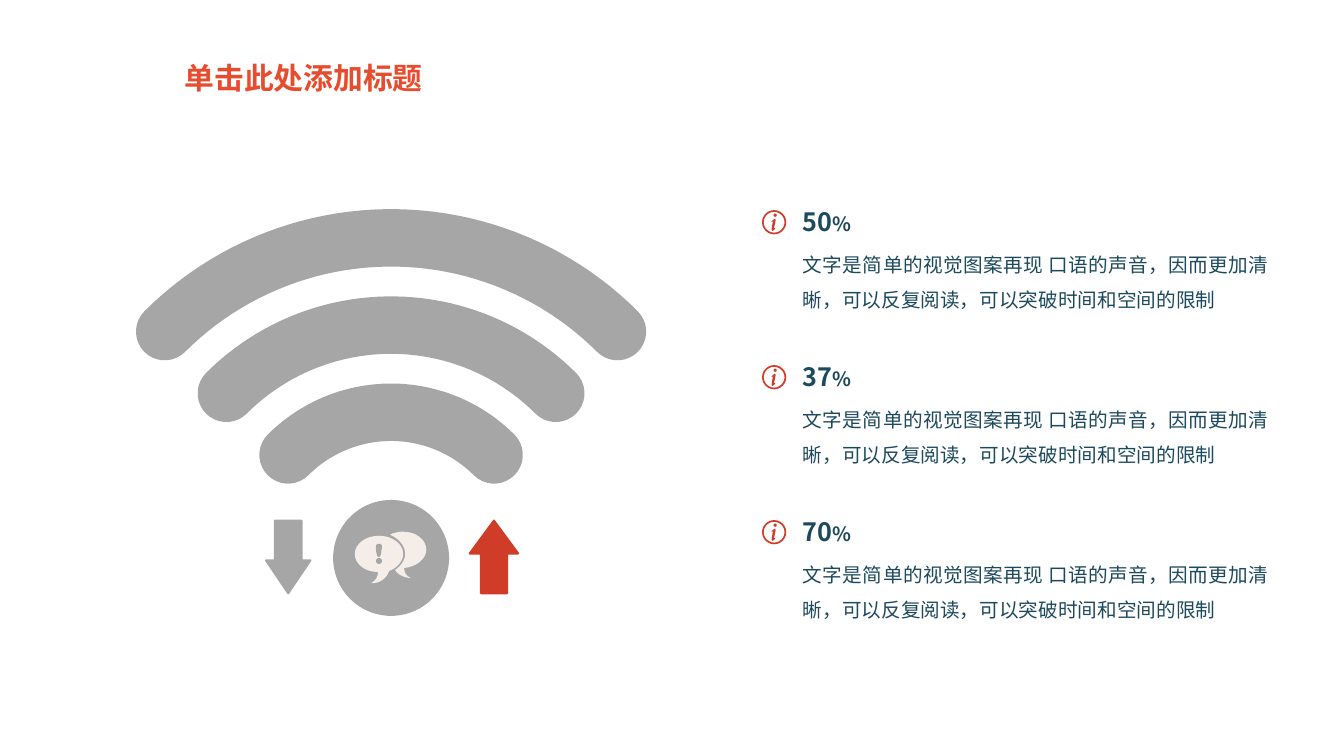
from dataclasses import dataclass
from math import cos, radians, sin

from lxml import etree
from pptx import Presentation
from pptx import util as u
from pptx.dml.color import RGBColor
from pptx.enum import shapes as kinds, text as txt
from pptx.oxml.ns import qn

WIDTH, HEIGHT = u.Inches(13.33), u.Inches(7.5)
UNIT = HEIGHT / 750  # fine grid for the icons


@dataclass(frozen=True)
class Theme:
    grey: str = "A6A6A6"
    red: str = "CF3C27"
    cream: str = "F5EDE8"
    navy: str = "1D495D"
    orange: str = "E74C2E"
    body_font: str = "Noto Sans CJK SC"
    title_font: str = "Roboto Condensed"
    title_size: float = 21.3
    figure_size: float = 18
    body_size: float = 14


THEME = Theme()
DESCRIPTION = ("文字是简单的视觉图案再现 口语的声音，因而更加清晰，"
               "可以反复阅读，可以突破时间和空间的限制")
FIGURES = ("50", "37", "70")

# Each outline is a start point and its cubic curves, in units from the icon's centre.
BACK_BUBBLE = ((35, -8), [
    ((35, -18), (25, -26), (12, -26)), ((7, -26), (3, -25), (-1, -23)),
    ((8, -19), (14, -12), (14, -4)), ((14, 2), (10, 8), (4, 12)),
    ((7, 17), (14, 20), (20, 20)), ((17, 19), (13, 16), (13, 10)),
    ((25, 9), (35, 1), (35, -8))])
FRONT_BUBBLE = ((12, -4), [
    ((12, -14), (1, -22), (-12, -22)), ((-25, -22), (-36, -14), (-36, -4)),
    ((-36, 6), (-26, 14), (-13, 14)), ((-13, 21), (-18, 24), (-20, 25)),
    ((-12, 26), (-4, 20), (-2, 13)), ((6, 10), (12, 3), (12, -4))])
EXCLAMATION = ((-12, -14), [
    ((-10, -14), (-9, -13), (-9, -11)), ((-9, -9), (-10, -6), (-10, -3)),
    ((-11, -2), (-11, -1), (-12, -1)), ((-13, -1), (-14, -2), (-14, -3)),
    ((-15, -6), (-15, -9), (-15, -11)), ((-15, -13), (-14, -14), (-12, -14))])
INFO_STEM = ((1.5, 5.5), [
    ((0.5, 7), (-0.5, 8.5), (-2, 8.5)), ((-2.8, 8), (-2.3, 5), (-1.2, -0.5)),
    ((-1.5, -0.8), (-2, -0.7), (-2.8, -0.3)), ((-1.5, -2), (0, -3.5), (1, -3.5)),
    ((2, -3), (1, 1), (0, 5)), ((0, 6), (0.8, 6), (1.5, 5.5))])


def paint(shape, color, line_width=None):
    shape.shadow.inherit = False
    shape.fill.solid()
    shape.fill.fore_color.rgb = RGBColor.from_string(color)
    if line_width:
        shape.line.color.rgb = RGBColor.from_string(color)
        shape.line.width = u.Pt(line_width)
    else:
        shape.line.fill.background()


def share(left, top, width, height):
    """Turn shares of the slide into a box in EMU."""
    return [round(value) for value in
            (left * WIDTH, top * HEIGHT, width * WIDTH, height * HEIGHT)]


def add_preset(shapes, kind, centre, size, color, adjustments=(), line_width=None):
    """Place a preset shape round a centre; size is in units."""
    width, height = (side * UNIT for side in size)
    preset = shapes.add_shape(kind, round(centre[0] - width / 2),
                              round(centre[1] - height / 2), round(width), round(height))
    for index, value in enumerate(adjustments):
        preset.adjustments[index] = value
    paint(preset, color, line_width)


def add_circle(shapes, centre, radius, color):
    add_preset(shapes, kinds.MSO_SHAPE.OVAL, centre, (2 * radius, 2 * radius), color)


def add_outline(shapes, points, color):
    corners = [(round(x), round(y)) for x, y in points]
    builder = shapes.build_freeform(*corners[0])
    builder.add_line_segments(corners[1:], close=True)
    paint(builder.convert_to_shape(), color)


def offset(centre, x, y):
    return centre[0] + x * UNIT, centre[1] + y * UNIT


def add_curved(shapes, centre, outline, color, steps=8):
    start, curves = outline
    points = [start]
    for first, second, end in curves:
        for step in range(1, steps + 1):
            t = step / steps
            weights = ((1 - t) ** 3, 3 * t * (1 - t) ** 2, 3 * t * t * (1 - t), t ** 3)
            points.append([sum(w * p[axis] for w, p in zip(weights, (start, first, second, end)))
                           for axis in (0, 1)])
        start = end
    add_outline(shapes, [offset(centre, *point) for point in points], color)


def polar(centre, radius, degrees):
    angle = radians(degrees)
    return offset(centre, radius * cos(angle), -radius * sin(angle))


def add_wave(shapes, centre, radius, thickness, color):
    """Draw a quarter ring with round ends, open to the bottom."""
    half = thickness / 2
    outer = [polar(centre, radius + half, a) for a in range(135, 44, -2)]
    right_end = [polar(polar(centre, radius, 45), half, a) for a in range(45, -136, -10)]
    inner = [polar(centre, radius - half, a) for a in range(45, 136, 2)]
    left_end = [polar(polar(centre, radius, 135), half, a) for a in range(315, 134, -10)]
    add_outline(shapes, outer + right_end + inner + left_end, color)


def write(paragraph, content, *, size, color, font, bold=False):
    run = paragraph.add_run()
    run.text = content
    run.font.size, run.font.bold, run.font.name = u.Pt(size), bold, font
    run.font.color.rgb = RGBColor.from_string(color)
    east_asian = etree.SubElement(run.font._element, qn("a:ea"))
    east_asian.set("typeface", font)


def add_text_area(shapes, box):
    """Add a wrapping text box and return its first paragraph."""
    frame = shapes.add_textbox(*box).text_frame
    frame.word_wrap = True
    return frame.paragraphs[0]


def add_title(slide, content):
    title = slide.shapes.title
    title.left, title.top, title.width, title.height = share(0.13, 0.072, 0.195, 0.061)
    frame = title.text_frame
    frame.word_wrap = False
    frame.auto_size = txt.MSO_AUTO_SIZE.NONE
    frame.vertical_anchor = txt.MSO_ANCHOR.TOP
    paragraph = frame.paragraphs[0]
    paragraph.alignment = txt.PP_ALIGN.LEFT
    write(paragraph, content, size=THEME.title_size, color=THEME.orange,
          font=THEME.title_font, bold=True)


def add_signal(slide):
    shapes = slide.shapes.add_group_shape().shapes
    centre = 0.291 * WIDTH, 0.738 * HEIGHT
    for ring in (2, 1, 0):
        add_wave(shapes, centre, 144.5 + 86.5 * ring, 57, THEME.grey)
    add_circle(shapes, centre, 57.5, THEME.grey)
    add_preset(shapes, kinds.MSO_SHAPE.UP_ARROW, offset(centre, 102, -1), (48, 72),
               THEME.red, (0.54, 0.68), line_width=1.5)
    add_preset(shapes, kinds.MSO_SHAPE.DOWN_ARROW, offset(centre, -102, -1), (44, 72),
               THEME.grey, (0.6, 0.74), line_width=1.5)
    add_curved(shapes, centre, BACK_BUBBLE, THEME.cream)
    add_curved(shapes, centre, FRONT_BUBBLE, THEME.cream)
    add_curved(shapes, centre, EXCLAMATION, THEME.grey)
    add_circle(shapes, offset(centre, -12, 3), 3, THEME.grey)


def add_info_icon(shapes, centre):
    add_preset(shapes, kinds.MSO_SHAPE.DONUT, centre, (24, 24), THEME.red, (0.07,))
    add_curved(shapes, centre, INFO_STEM, THEME.red)
    add_circle(shapes, offset(centre, 1, -7), 1.6, THEME.red)


def add_fact(slide, figure, top):
    """Add an icon, a percentage and its description; top is a share of the height."""
    shapes = slide.shapes.add_group_shape().shapes
    style = {"color": THEME.navy, "font": THEME.body_font}
    add_info_icon(shapes, (0.576 * WIDTH, (top + 0.027) * HEIGHT))
    heading = add_text_area(shapes, share(0.59, top, 0.254, 0.053))
    write(heading, figure, size=THEME.figure_size, bold=True, **style)
    write(heading, "%", size=THEME.body_size, bold=True, **style)
    description = add_text_area(shapes, share(0.59, top + 0.045, 0.361, 0.108))
    description.alignment = txt.PP_ALIGN.JUSTIFY
    description.line_spacing = 1.5
    write(description, DESCRIPTION, size=THEME.body_size, **style)


def main():
    deck = Presentation()
    deck.slide_width, deck.slide_height = WIDTH, HEIGHT
    slide = deck.slides.add_slide(deck.slide_layouts[5])
    add_title(slide, "单击此处添加标题")
    add_signal(slide)
    for row, figure in enumerate(FIGURES):
        add_fact(slide, figure, 0.267 + 0.205 * row)
    deck.save("out.pptx")


if __name__ == "__main__":
    main()
